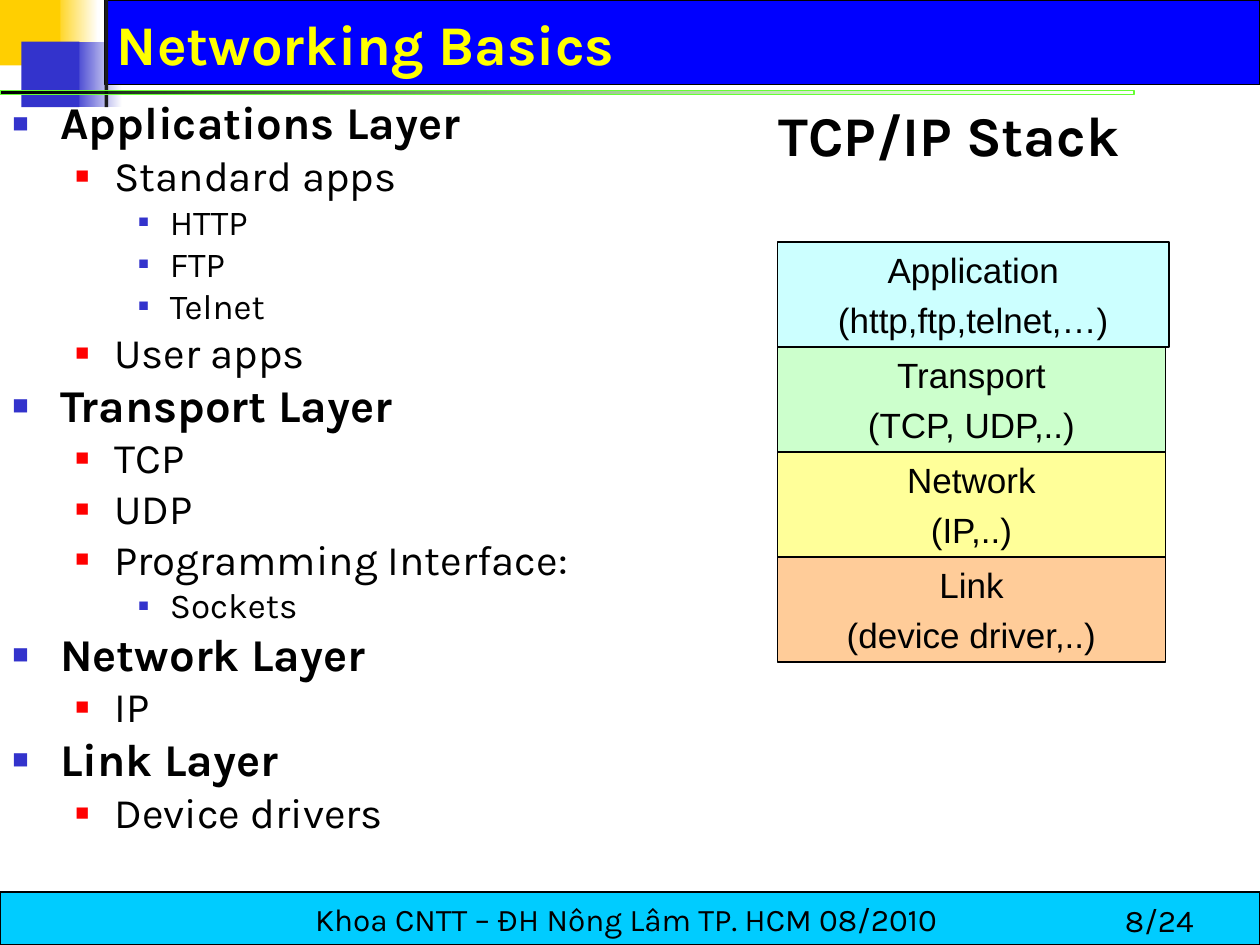
from dataclasses import dataclass

from lxml.etree import SubElement
from pptx import Presentation
from pptx.dml.color import RGBColor
from pptx.enum.shapes import MSO_SHAPE as Shape
from pptx.enum.text import MSO_ANCHOR as Anchor, PP_ALIGN as Align
from pptx.oxml.ns import qn
from pptx.util import Inches, Pt


@dataclass(frozen=True)
class Theme:
    """Colours, fonts and type sizes of the slide."""
    black: str = "000000"
    white: str = "FFFFFF"
    gold: str = "FFCF01"
    indigo: str = "3333CC"
    blue: str = "0000FF"
    charcoal: str = "1C1C1C"
    green: str = "66FF33"
    cyan: str = "00CCFF"
    yellow: str = "FFFF00"
    red: str = "FF0000"
    stack: tuple = ("CCFFFF", "CCFFCC", "FFFF99", "FFCC99")
    font: str = "Karla"
    stack_font: str = "Arial"
    heading: int = 32
    stack_size: int = 20
    footer_size: int = 18


@dataclass(frozen=True)
class Level:
    """Look of one outline level."""
    size: int
    bold: bool
    margin: float
    hang: float
    before: float
    bullet_color: str
    bullet_percent: int


THEME = Theme()
LEVELS = (
    Level(26, True, 0.38, 0.38, 3.3, THEME.indigo, 60),
    Level(24, False, 0.81, 0.31, 3, THEME.red, 55),
    Level(20, False, 1.25, 0.25, 2.5, THEME.indigo, 50),
)
OUTLINE = (
    (0, "Applications Layer"),
    (1, "Standard apps"),
    (2, "HTTP"),
    (2, "FTP"),
    (2, "Telnet"),
    (1, "User apps"),
    (0, "Transport Layer"),
    (1, "TCP"),
    (1, "UDP"),
    (1, "Programming Interface:"),
    (2, "Sockets"),
    (0, "Network Layer"),
    (1, "IP"),
    (0, "Link Layer"),
    (1, "Device drivers"),
)
STACK = (
    ("Application", "(http,ftp,telnet,…)"),
    ("Transport", "(TCP, UDP,..)"),
    ("Network", "(IP,..)"),
    ("Link", "(device driver,..)"),
)


def rgb(color):
    """Turn a hex string into a colour."""
    return RGBColor.from_string(color)


def add_rect(page, box, fill, fade=None, line=None, width=0.75):
    """Add a rectangle, optionally fading from left to right."""
    rect = page.shapes.add_shape(Shape.RECTANGLE, *map(Inches, box))
    rect.shadow.inherit = False
    if fade:
        rect.fill.gradient()
        rect.fill.gradient_angle = 0
        for stop, color in zip(rect.fill.gradient_stops, (fill, fade)):
            stop.color.rgb = rgb(color)
    else:
        rect.fill.solid()
        rect.fill.fore_color.rgb = rgb(fill)
    if line:
        rect.line.color.rgb = rgb(line)
        rect.line.width = Pt(width)
    else:
        rect.line.fill.background()
    return rect


def add_text_box(page, box, anchor=Anchor.TOP):
    """Add a wrapping text box and return its frame."""
    frame = page.shapes.add_textbox(*map(Inches, box)).text_frame
    frame.word_wrap = True
    frame.vertical_anchor = anchor
    return frame


def style_para(para, size, color=THEME.black, bold=False, font=THEME.font,
               before=0, align=Align.LEFT):
    """Format a paragraph and its runs."""
    para.alignment = align
    para.space_before = Pt(before)
    for span in para.runs:
        span.font.size = Pt(size)
        span.font.name = font
        span.font.bold = bold
        span.font.color.rgb = rgb(color)


def indent_para(para, margin, hang):
    """Give a paragraph a hanging indent."""
    props = para._p.get_or_add_pPr()
    props.set("marL", str(Inches(margin)))
    props.set("indent", str(-Inches(hang)))
    return props


def add_bullet(para, level):
    """Give a paragraph the square bullet of its level."""
    props = indent_para(para, level.margin, level.hang)
    color = SubElement(props, qn("a:buClr"))
    SubElement(color, qn("a:srgbClr"), val=level.bullet_color)
    SubElement(props, qn("a:buSzPct"), val=str(level.bullet_percent * 1000))
    SubElement(props, qn("a:buFont"), typeface=THEME.stack_font)
    SubElement(props, qn("a:buChar"), char="■")


def add_header(page, box, title):
    """Draw the corner blocks, title bar, rule and title."""
    left, top, width, _ = box
    bar_left = left + 0.83
    add_rect(page, (left + 0.42, top, 0.36, 0.52), THEME.gold, THEME.white)
    add_rect(page, (left + 0.57, top + 0.33, 0.4, 0.52), THEME.indigo, THEME.white)
    add_rect(page, (bar_left, top, width - 0.83, 0.67), THEME.blue, line=THEME.black)
    add_rect(page, (left, top, 0.48, 0.52), THEME.gold)
    add_rect(page, (left + 0.17, top + 0.33, 0.46, 0.52), THEME.indigo)
    add_rect(page, (bar_left, top, 0.03, 0.85), THEME.charcoal)
    rule = add_rect(page, (left, top + 0.72, 9, 0.03), THEME.black, THEME.green,
                    THEME.green, 0)
    end_color = rule._element.spPr.findall(".//" + qn("a:gs"))[-1][0]
    SubElement(end_color, qn("a:alpha"), val="0")
    frame = add_text_box(page, (bar_left, top + 0.08, 8.94, 0.58), Anchor.BOTTOM)
    frame.text = title
    style_para(frame.paragraphs[0], THEME.heading, THEME.yellow, True)


def add_footer(page, box, credit, number):
    """Draw the footer band with its text and page number."""
    left, top, width, _ = box
    frame = add_rect(page, box, THEME.cyan, line=THEME.black).text_frame
    frame.word_wrap = False
    frame.vertical_anchor = Anchor.MIDDLE
    frame.text = credit
    style_para(frame.paragraphs[0], THEME.footer_size, align=Align.CENTER)
    frame = add_text_box(page, (left + width - 1.17, top + 0.02, 1.17, 0.4))
    frame.text = number
    style_para(frame.paragraphs[0], THEME.footer_size, before=11.2)


def add_outline(page, box, items):
    """Write the bulleted outline."""
    frame = add_text_box(page, box)
    frame.text = "\n".join(text for _, text in items)
    for para, (depth, _) in zip(frame.paragraphs, items):
        level = LEVELS[depth]
        para.level = depth
        para.line_spacing = 0.9
        style_para(para, level.size, bold=level.bold, before=level.before)
        add_bullet(para, level)


def add_stack(page, box, title, layers):
    """Write the stack heading and draw its layers."""
    left, top, width, height = box
    frame = add_text_box(page, box)
    frame.text = title
    style_para(frame.paragraphs[0], THEME.heading, bold=True, before=8)
    indent_para(frame.paragraphs[0], 0.38, 0.38)
    pitch = 2.5 / 3
    for index, (lines, fill) in enumerate(zip(layers, THEME.stack)):
        layer_width = 3.08 if index else 3.11
        place = (left + 0.09, top + 1.17 + index * pitch, layer_width, pitch)
        frame = add_rect(page, place, fill, line=THEME.black, width=1).text_frame
        frame.word_wrap = True
        frame.vertical_anchor = Anchor.TOP
        frame.text = "\n".join(lines)
        for para in frame.paragraphs:
            style_para(para, THEME.stack_size, font=THEME.stack_font, before=5,
                       align=Align.CENTER)
            indent_para(para, 0.31, 0.31)


def main():
    """Build and save the slide."""
    deck = Presentation()
    deck.slide_width, deck.slide_height = Inches(10), Inches(7.5)
    page = deck.slides.add_slide(deck.slide_layouts[6])
    add_header(page, (0, 0, 10, 0.85), "Networking Basics")
    add_footer(page, (0, 7.08, 10, 0.42),
               "Khoa CNTT – ĐH Nông Lâm TP. HCM 08/2010 ", "8/24")
    add_outline(page, (0, 0.75, 5.33, 6.25), OUTLINE)
    add_stack(page, (6.08, 0.75, 3.92, 6.25), "TCP/IP Stack", STACK)
    deck.save("out.pptx")


if __name__ == "__main__":
    main()
